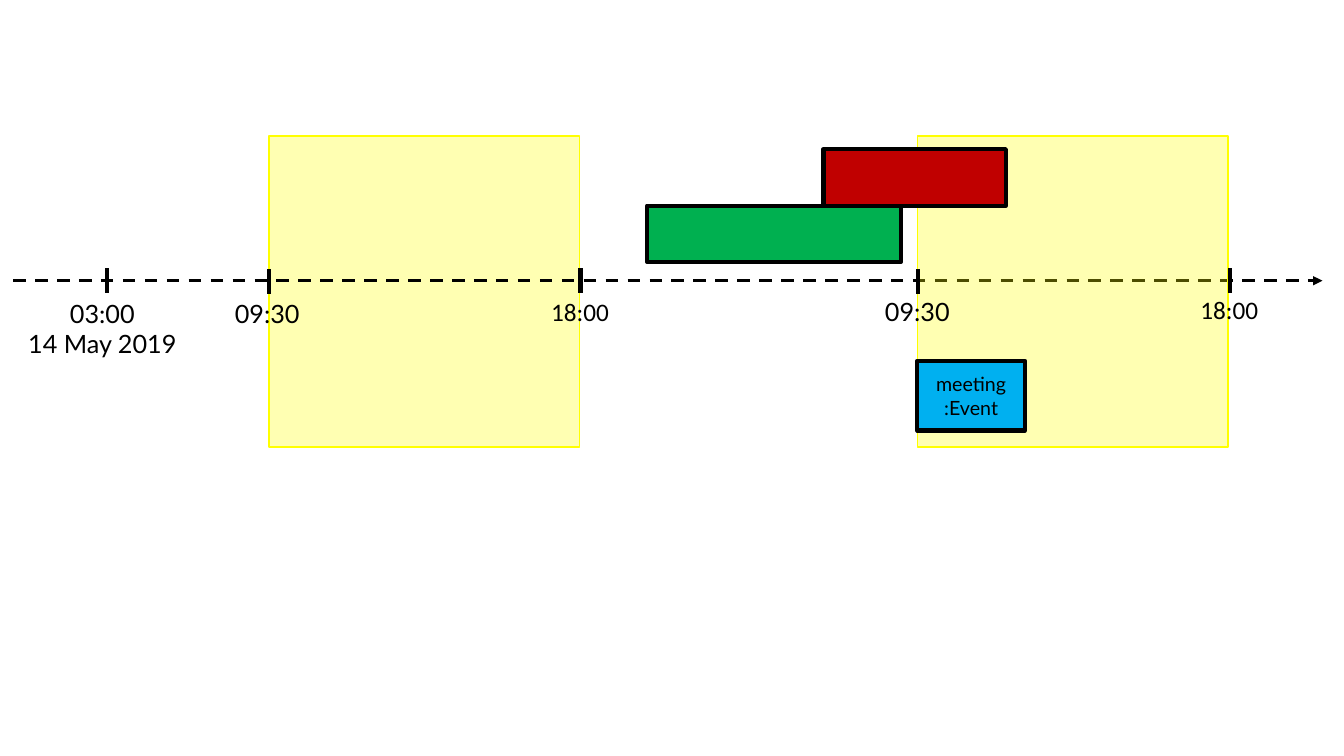
from lxml import etree
from pptx import Presentation
from pptx.dml.color import RGBColor
from pptx.enum.dml import MSO_LINE
from pptx.enum.shapes import MSO_CONNECTOR, MSO_SHAPE
from pptx.enum.text import MSO_ANCHOR, MSO_AUTO_SIZE, PP_ALIGN
from pptx.oxml.ns import qn
from pptx.util import Pt

RECT = MSO_SHAPE.RECTANGLE
LINE = MSO_CONNECTOR.STRAIGHT
DASH = MSO_LINE.DASH
MID = MSO_ANCHOR.MIDDLE
GROW = MSO_AUTO_SIZE.SHAPE_TO_FIT_TEXT
MIDDLE, LEFT = PP_ALIGN.CENTER, PP_ALIGN.LEFT

HUES = {"ink": "000000", "day": "FFFF00", "red": "C00000",
        "green": "00B050", "blue": "00B0F0"}


def hue(name):
    return RGBColor.from_string(HUES[name])


def block(slide, box, fill, edge="ink", width=3):
    shape = slide.shapes.add_shape(RECT, *map(Pt, box))
    shape.shadow.inherit = False
    shape.fill.solid()
    shape.fill.fore_color.rgb = hue(fill)
    shape.line.color.rgb = hue(edge)
    shape.line.width = Pt(width)
    return shape


def stroke(slide, start, end, width):
    line = slide.shapes.add_connector(LINE, *map(Pt, (*start, *end)))
    line.line.color.rgb = hue("ink")
    line.line.width = Pt(width)
    etree.SubElement(line._element.spPr, qn("a:effectLst"))
    return line


def write(frame, lines, font, size, align):
    for i, text in enumerate(lines):
        para = frame.add_paragraph() if i else frame.paragraphs[0]
        para.alignment = align
        run = para.add_run()
        run.text = text
        run.font.name = font
        run.font.size = Pt(size)
        run.font.color.rgb = hue("ink")


# Working day: translucent band
def day(slide, box):
    band = block(slide, box, "day", "day", 1)
    tint = band.fill._xPr.find(qn("a:solidFill"))[0]
    etree.SubElement(tint, qn("a:alpha"), val="30000")


# Time axis: dashed arrow through the middle of its box
def axis(slide, box):
    x, y, w, h = box
    mid = y + h / 2
    line = stroke(slide, (x, mid), (x + w, mid), 2.25)
    line.line.dash_style = DASH
    etree.SubElement(line.line._get_or_add_ln(), qn("a:tailEnd"),
                     type="triangle")


# Tick: upright mark on the axis
def tick(slide, box, at, drop):
    x, y, w, h = box
    stroke(slide, (x + at, y + drop), (x + at, y + drop + h), 3)


# Time label under the axis, centred on a point
def label(slide, box, at, drop, lines, font, width):
    x, y, w, h = box
    tall = 7.2 + 21.9 * len(lines)
    text = slide.shapes.add_textbox(Pt(x + at - width / 2), Pt(y + h + drop),
                                    Pt(width), Pt(tall))
    frame = text.text_frame
    frame.word_wrap = False
    frame.auto_size = GROW
    write(frame, lines, font, 18, MIDDLE if len(lines) > 1 else LEFT)


# Two overlapping spans, stacked as steps
def spans(slide, box):
    x, y, w, h = box
    step = h / 2
    block(slide, (x + 126, y, 130.3, step), "red")
    block(slide, (x, y + step, 181.4, step), "green")


# Meeting box with its caption
def event(slide, box):
    frame = block(slide, box, "blue").text_frame
    frame.word_wrap = True
    frame.vertical_anchor = MID
    write(frame, ["meeting", ":Event"], "Lato", 14, MIDDLE)


def build(slide):
    rail = (9.4, 191.5, 935.2, 18)
    side, top = 222, 97.2
    starts = (192.2, 655.2)

    day(slide, (starts[0], top, side, side))
    axis(slide, rail)
    for at, drop in ((66.9, 0), (182.8, 0.7), (405.3, 0)):
        tick(slide, rail, at, drop)
    day(slide, (starts[1], top, side, side))
    spans(slide, (462.2, 106.6, 256.3, 80.6))
    for at, drop in ((646.5, 0.7), (869, 0)):
        tick(slide, rail, at, drop)

    labels = (
        (181.8, 0, ["09:30"], "Lato", 61.2),
        (405.3, -1.4, ["18:00"], "Calibri", 56.2),
        (63.7, 0, ["03:00", "14 May 2019"], "Lato", 123.1),
        (646.2, -1.4, ["09:30"], "Lato", 61.2),
        (869, -2.9, ["18:00"], "Calibri", 56.2),
    )
    for at, drop, lines, font, width in labels:
        label(slide, rail, at, drop, lines, font, width)
    event(slide, (starts[1], 257.8, 77, 49.7))


deck = Presentation()
deck.slide_width, deck.slide_height = Pt(960), Pt(540)
build(deck.slides.add_slide(deck.slide_layouts[6]))
deck.save("out.pptx")
